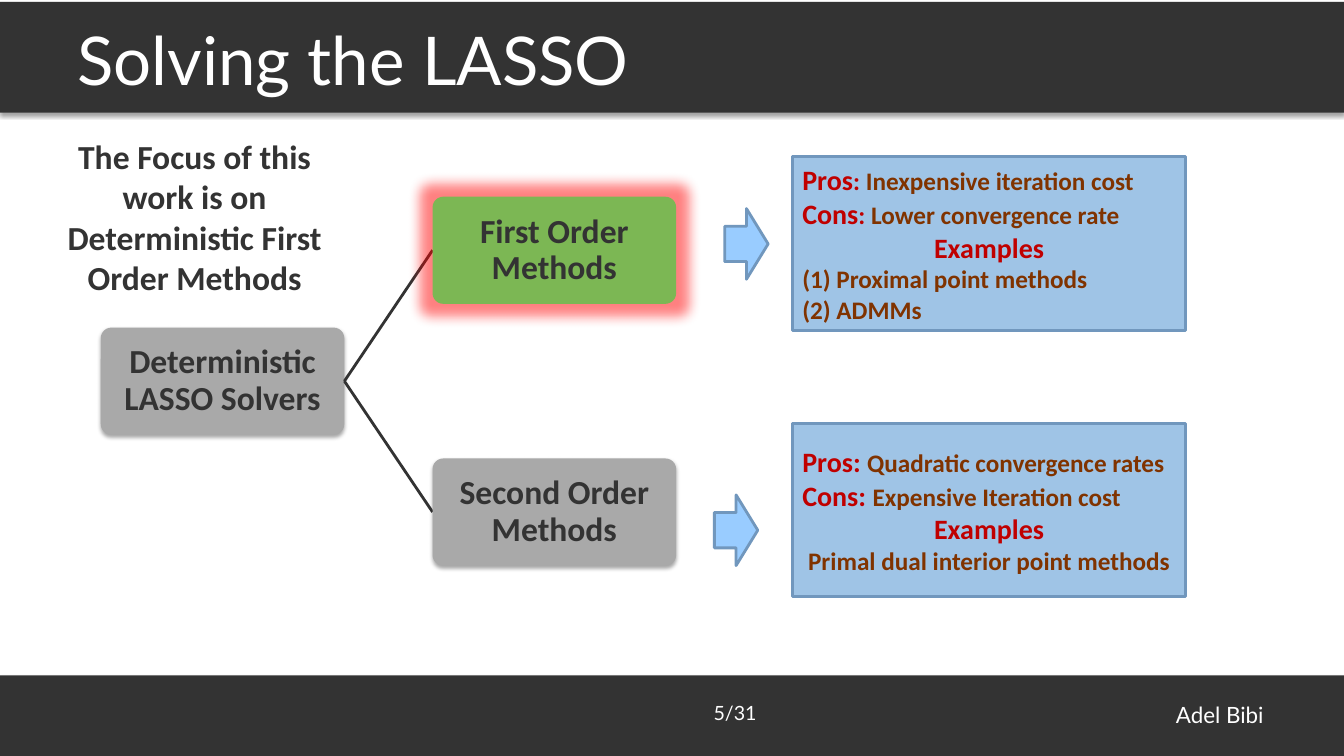
from dataclasses import dataclass

from lxml.etree import SubElement
from pptx import Presentation
from pptx.dml.color import RGBColor
from pptx.enum.shapes import MSO_CONNECTOR, MSO_SHAPE
from pptx.enum.text import MSO_ANCHOR, MSO_AUTO_SIZE, PP_ALIGN
from pptx.oxml.ns import qn
from pptx.util import Pt


@dataclass(frozen=True)
class Style:
    size: int
    color: str
    font: str = "Calibri"
    bold: bool = True


class Theme:
    dark, grey, green, glow = "333333", "A9A9A9", "7CB754", "FF0000"
    panel, arrow, outline = "5B9BD5", "99CCFF", "7197BD"
    title = Style(48, "FFFFFF", "Lato", False)
    author = Style(16, "FFFFFF", "Lato", False)
    page = Style(14, "FFFFFF", "Lato", False)
    node = Style(24, dark)
    heading = Style(20, "C00000")
    colon = Style(18, "C00000")
    detail = Style(18, "803300")


LEFT, CENTER, RIGHT = PP_ALIGN.LEFT, PP_ALIGN.CENTER, PP_ALIGN.RIGHT
SLIDE_WIDTH, SLIDE_HEIGHT = 960, 540
NODE_WIDTH, NODE_HEIGHT = 174, 76.5


def add_color(parent, color, alpha):
    rgb = SubElement(parent, qn("a:srgbClr"), val=color)
    SubElement(rgb, qn("a:alpha"), val=str(alpha * 1000))


def add_block(slide, kind, box, fill, outline=None):
    block = slide.shapes.add_shape(kind, *map(Pt, box))
    block.shadow.inherit = False
    block.fill.solid()
    block.fill.fore_color.rgb = RGBColor.from_string(fill)
    if outline:
        block.line.color.rgb = RGBColor.from_string(outline)
        block.line.width = Pt(2)
    else:
        block.line.fill.background()
    return block


def add_effect(block, name, color, alpha, **settings):
    """Put a shadow or glow into the block's effect list."""
    effects = block._element.spPr.find(qn("a:effectLst"))
    effect = SubElement(effects, qn(name), **settings)
    add_color(effect, color, alpha)


def add_shadow(block):
    add_effect(block, "a:outerShdw", "000000", 35, blurRad=str(Pt(3.1)),
               dist=str(Pt(1.8)), dir="5400000", rotWithShape="0")


def write(shape, lines, anchor=MSO_ANCHOR.MIDDLE, wrap=True, inset=None, spacing=None):
    """Fill a shape with lines, each an alignment and its (text, style) runs."""
    frame = shape.text_frame
    frame.auto_size = MSO_AUTO_SIZE.NONE
    frame.word_wrap = wrap
    frame.vertical_anchor = anchor
    if inset is not None:
        frame.margin_left = frame.margin_right = Pt(inset)
        frame.margin_top = frame.margin_bottom = Pt(min(inset, 5))
    for index, (align, parts) in enumerate(lines):
        paragraph = frame.add_paragraph() if index else frame.paragraphs[0]
        paragraph.alignment = align
        if spacing:
            paragraph.line_spacing = spacing
        for text, style in parts:
            run = paragraph.add_run()
            run.text = text
            run.font.size = Pt(style.size)
            run.font.name = style.font
            run.font.bold = style.bold
            run.font.color.rgb = RGBColor.from_string(style.color)


def add_label(slide, box, text, style, align=LEFT, **layout):
    label = slide.shapes.add_textbox(*map(Pt, box))
    write(label, [(align, [(text, style)])], **layout)


def add_header(slide, box):
    left, top, width, height = box
    add_shadow(add_block(slide, MSO_SHAPE.RECTANGLE, box, Theme.dark))
    title = slide.shapes.title
    title.left, title.top = Pt(left + 48), Pt(top + 2)
    title.width, title.height = Pt(width - 96), Pt(height - 2)
    write(title, [(LEFT, [("Solving the LASSO", Theme.title)])])
    slide.shapes._spTree.append(title._element)  # keeps the title above its bar


def add_footer(slide, box):
    left, top, width, height = box
    add_shadow(add_block(slide, MSO_SHAPE.RECTANGLE, box, Theme.dark))
    add_label(slide, (left + 608, top + 9, 304, 38), "Adel Bibi", Theme.author,
              RIGHT, inset=9.4)
    add_label(slide, (left + 502.6, top - 9.4, 72, 72), "5/31", Theme.page, wrap=False)


def add_node(slide, left, top, text, fill):
    node = add_block(slide, MSO_SHAPE.ROUNDED_RECTANGLE,
                     (left, top, NODE_WIDTH, NODE_HEIGHT), fill)
    node.adjustments[0] = 0.1
    write(node, [(CENTER, [(text, Theme.node)])], inset=3.6, spacing=0.9)
    return node


def add_branch(slide, start, end):
    branch = slide.shapes.add_connector(MSO_CONNECTOR.STRAIGHT, *map(Pt, start + end))
    branch.line.color.rgb = RGBColor.from_string(Theme.dark)
    branch.line.width = Pt(2)
    SubElement(branch._element.spPr, qn("a:effectLst"))


def add_solver_tree(slide, left, top):
    """Draw the root with its two children, the upper one highlighted."""
    rise, child_left = 93.5, left + 237
    root_top = top + rise
    middle = root_top + NODE_HEIGHT / 2
    add_shadow(add_node(slide, left, root_top, "Deterministic LASSO Solvers", Theme.grey))
    children = (("First Order Methods", -rise, Theme.green),
                ("Second Order Methods", rise, Theme.grey))
    for text, shift, fill in children:
        add_branch(slide, (left + NODE_WIDTH, middle), (child_left, middle + shift))
        child = add_node(slide, child_left, root_top + shift, text, fill)
        if fill == Theme.green:
            add_effect(child, "a:glow", Theme.glow, 50, rad=str(Pt(18)))
        else:
            add_shadow(child)


def add_panel(slide, box, lines):
    panel = add_block(slide, MSO_SHAPE.RECTANGLE, box, Theme.panel, Theme.outline)
    tint = panel._element.spPr.find(qn("a:solidFill")).find(qn("a:srgbClr"))
    SubElement(tint, qn("a:alpha"), val="58000")
    write(panel, lines)


def main():
    deck = Presentation()
    deck.slide_width, deck.slide_height = Pt(SLIDE_WIDTH), Pt(SLIDE_HEIGHT)
    slide = deck.slides.add_slide(deck.slide_layouts[5])

    add_footer(slide, (0, 482.4, SLIDE_WIDTH, 57.6))
    add_header(slide, (0, 1.4, SLIDE_WIDTH, 79))

    examples = (CENTER, [("Examples", Theme.heading)])
    first_order = [
        (LEFT, [("Pros", Theme.heading), (": ", Theme.colon),
                ("Inexpensive iteration cost", Theme.detail)]),
        (LEFT, [("Cons", Theme.heading), (": ", Theme.colon),
                ("Lower convergence rate", Theme.detail)]),
        examples,
        (LEFT, [("(1) Proximal point methods", Theme.detail)]),
        (LEFT, [("(2) ADMMs", Theme.detail)]),
    ]
    second_order = [
        (LEFT, [("Pros: ", Theme.heading), ("Quadratic convergence rates", Theme.detail)]),
        (LEFT, [("Cons: ", Theme.heading), ("Expensive Iteration cost", Theme.detail)]),
        examples,
        (CENTER, [("Primal dual interior point methods", Theme.detail)]),
    ]
    for top, lines in ((112, first_order), (302.4, second_order)):
        add_panel(slide, (566, top, 281, 124), lines)

    add_solver_tree(slide, 72, 140.5)
    for left, top in ((517.7, 149), (510.3, 353.5)):
        add_block(slide, MSO_SHAPE.RIGHT_ARROW, (left, top, 31, 50.5),
                  Theme.arrow, Theme.outline)
    add_label(slide, (28, 93.6, 222, 124),
              "The Focus of this work is on Deterministic First Order Methods",
              Theme.node, CENTER, anchor=MSO_ANCHOR.TOP)

    deck.save("out.pptx")


if __name__ == "__main__":
    main()
